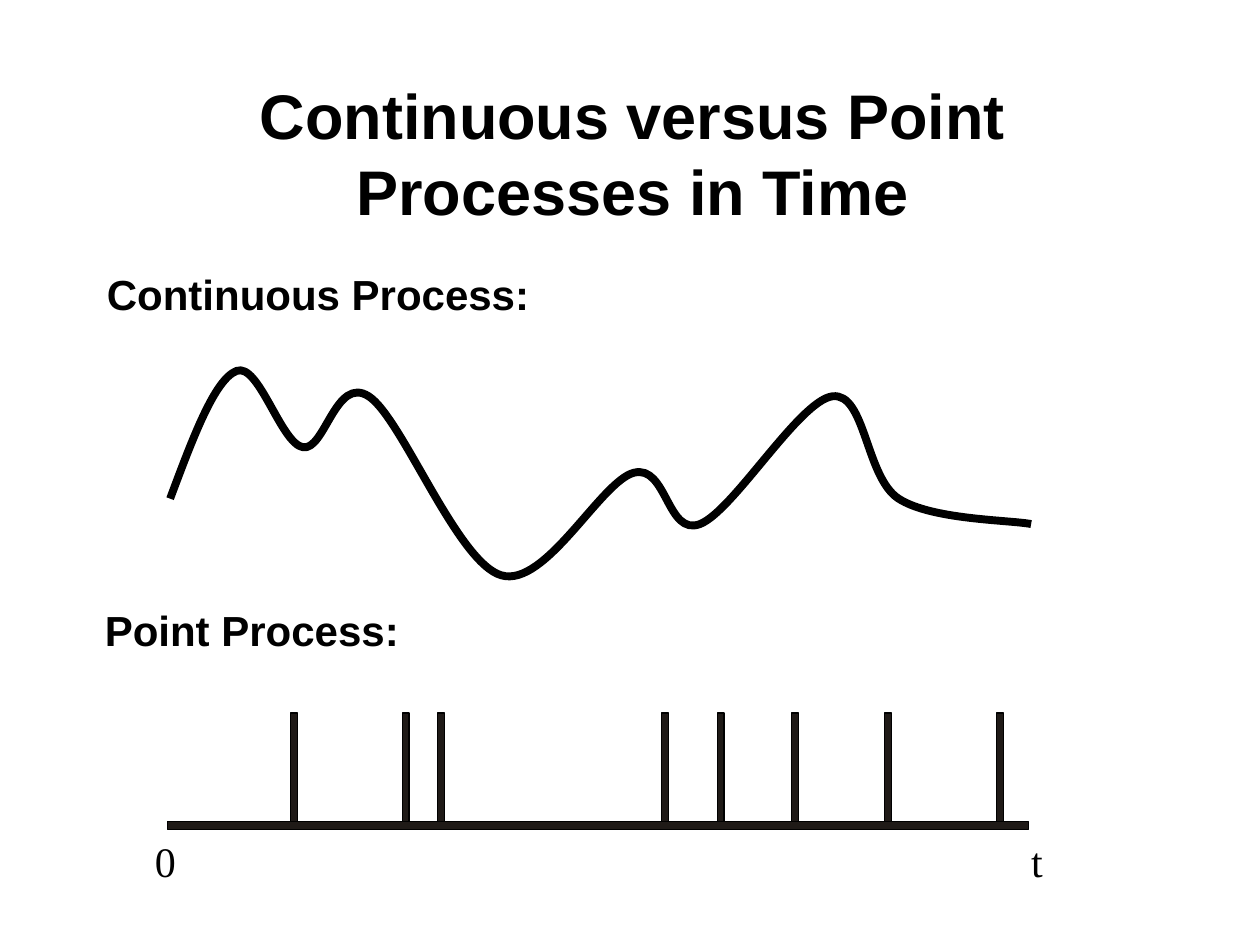
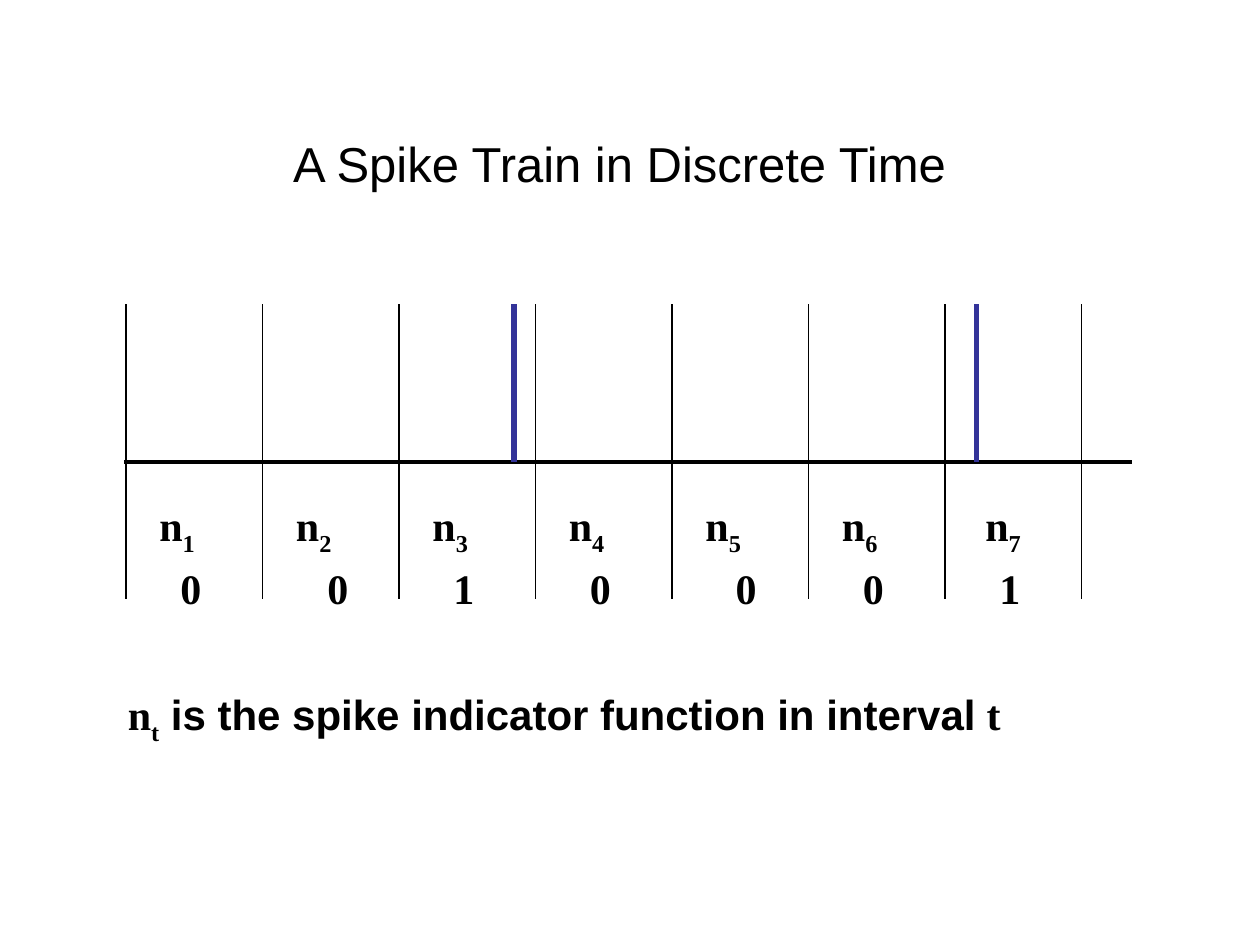
from typing import NamedTuple, Optional

from lxml.etree import SubElement
from pptx import Presentation
from pptx.dml.color import RGBColor
from pptx.enum.shapes import MSO_CONNECTOR as Connector, MSO_SHAPE as Preset
from pptx.enum.text import MSO_ANCHOR as Anchor, PP_ALIGN as Align
from pptx.oxml.ns import qn
from pptx.slide import Slide
from pptx.util import Pt

BLACK = RGBColor(0x00, 0x00, 0x00)
INK = RGBColor(0x1F, 0x1A, 0x17)
SPIKE_BLUE = RGBColor(0x33, 0x33, 0x99)
SANS, SERIF = "Arial", "Times New Roman"
BODY_SIZE = 24
SUBSCRIPT = "-25000"


class Box(NamedTuple):
    """Position and size in points."""
    left: float
    top: float
    width: float
    height: float


class Point(NamedTuple):
    """Place on the slide in points."""
    x: float
    y: float


class Words(NamedTuple):
    """Run of text with its look."""
    text: str
    font: str = SERIF
    bold: bool = True
    size: float = BODY_SIZE
    subscript: bool = False


class Stroke(NamedTuple):
    """Straight line with its look."""
    start: Point
    end: Point
    width: float
    color: RGBColor = BLACK


SIGNAL_LEAD_IN = Point(57.6, 419)
SIGNAL = [Point(97.2, 285), Point(135.2, 212), Point(173, 255.6), Point(210.7, 226.5),
          Point(286.5, 328.8), Point(362.2, 270.2), Point(400, 299.5),
          Point(475.7, 226.5), Point(513.5, 285), Point(589.2, 299.5)]
EVENT_LEFTS = [166.1, 229.8, 250.1, 378, 409.8, 452.2, 505.6, 569.5]
EVENT_WIDTH, EVENT_TOP, TIME_AXIS_TOP = 4, 407.5, 469.5

INTERVAL_LEFT, INTERVAL_WIDTH = 72, 78
SPIKE_TOP, DISCRETE_AXIS, INTERVAL_BOTTOM = 174, 264, 342
SPIKES = [293.8, 558]
COUNTS = [("0", 96), ("0", 180), ("1", 252), ("0", 330), ("0", 413.3), ("0", 486), ("1", 564)]
LAST_LABEL_SHIFT = 4


def add_text(slide: Slide, box: Box, *runs: Words, align: Align = Align.LEFT,
             anchor: Anchor = Anchor.TOP) -> None:
    """Add one paragraph of runs in a wrapped box."""
    frame = slide.shapes.add_textbox(*map(Pt, box)).text_frame
    frame.word_wrap = True
    frame.vertical_anchor = anchor
    paragraph = frame.paragraphs[0]
    paragraph.alignment = align
    for words in runs:
        run = paragraph.add_run()
        run.text = words.text
        run.font.name, run.font.size = words.font, Pt(words.size)
        run.font.bold = words.bold
        run.font.color.rgb = BLACK
        if words.subscript:
            run._r.get_or_add_rPr().set("baseline", SUBSCRIPT)


def add_title(slide: Slide, left: float, top: float, title: Words) -> None:
    """Add the centred slide title."""
    add_text(slide, Box(left, top, 612, 90), title, align=Align.CENTER, anchor=Anchor.MIDDLE)


def add_stroke(slide: Slide, stroke: Stroke) -> None:
    """Add a straight line without shadow."""
    line = slide.shapes.add_connector(Connector.STRAIGHT, *map(Pt, stroke.start + stroke.end))
    line.line.color.rgb = stroke.color
    line.line.width = Pt(stroke.width)
    SubElement(line._element.spPr, qn("a:effectLst"))


def add_bar(slide: Slide, box: Box) -> None:
    """Add a dark bar with a hairline edge."""
    bar = slide.shapes.add_shape(Preset.RECTANGLE, *map(Pt, box))
    bar.shadow.inherit = False
    bar.fill.solid()
    bar.fill.fore_color.rgb = INK
    bar.line.color.rgb = BLACK
    bar.line.width = Pt(0)


def spline(knots: list[Point], lead_in: Optional[Point] = None) -> list[Point]:
    """Return the Catmull-Rom Bezier points that follow the first knot."""
    padded = [lead_in or knots[0], *knots, knots[-1]]
    points = []
    for before, start, end, after in zip(padded, padded[1:], padded[2:], padded[3:]):
        points += [Point(start.x + (end.x - before.x) / 6, start.y + (end.y - before.y) / 6),
                   Point(end.x - (after.x - start.x) / 6, end.y - (after.y - start.y) / 6),
                   end]
    return points


def add_curve(slide: Slide, knots: list[Point], lead_in: Point, width: float) -> None:
    """Add a smooth open curve through the knots."""
    builder = slide.shapes.build_freeform(*map(Pt, knots[0]))
    points = [(Pt(point.x), Pt(point.y)) for point in spline(knots, lead_in)]
    builder.add_line_segments(points, close=False)
    curve = builder.convert_to_shape()
    curve.shadow.inherit = False
    curve.fill.background()
    curve.line.color.rgb = BLACK
    curve.line.width = Pt(width)
    outline = curve._element.spPr.find(".//" + qn("a:path"))
    segments = outline.findall(qn("a:lnTo"))
    for first in range(0, len(segments), 3):
        bezier = SubElement(outline, qn("a:cubicBezTo"))
        for segment in segments[first:first + 3]:
            bezier.append(segment[0])
            outline.remove(segment)


def build_processes(slide: Slide) -> None:
    """Compare a continuous signal with point events."""
    add_title(slide, 55.5, 42, Words("Continuous versus Point Processes in Time", SANS, size=36))
    add_bar(slide, Box(95.6, TIME_AXIS_TOP, 492, 4.5))
    for left in EVENT_LEFTS:
        add_bar(slide, Box(left, EVENT_TOP, EVENT_WIDTH, TIME_AXIS_TOP - EVENT_TOP))
    add_curve(slide, SIGNAL, SIGNAL_LEAD_IN, 4.5)
    add_text(slide, Box(54, 150, 300, 36), Words("Continuous Process:", SANS))
    add_text(slide, Box(52.8, 342, 300, 36), Words("Point Process:", SANS))
    for mark, left in (("0", 81.4), ("t", 582.2)):
        add_text(slide, Box(left, 474, 30, 36), Words(mark, bold=False))


def build_spike_train(slide: Slide) -> None:
    """Show spikes counted in equal intervals."""
    add_title(slide, 48, 48, Words("A Spike Train in Discrete Time", SANS, False, 28))
    add_stroke(slide, Stroke(Point(70.8, DISCRETE_AXIS), Point(646.8, DISCRETE_AXIS), 2))
    for x in SPIKES:
        add_stroke(slide, Stroke(Point(x, SPIKE_TOP), Point(x, DISCRETE_AXIS), 3, SPIKE_BLUE))
    for index in range(len(COUNTS) + 1):
        x = INTERVAL_LEFT + index * INTERVAL_WIDTH
        add_stroke(slide, Stroke(Point(x, INTERVAL_BOTTOM), Point(x, SPIKE_TOP), 0.75))
    for number, (count, count_left) in enumerate(COUNTS, start=1):
        label_left = INTERVAL_LEFT + 12 + (number - 1) * INTERVAL_WIDTH
        if number == len(COUNTS):
            label_left += LAST_LABEL_SHIFT
        add_text(slide, Box(label_left, 282, 54, 40), Words("n"), Words(str(number), subscript=True))
        add_text(slide, Box(count_left, 318, 30, 36), Words(count))
    add_text(slide, Box(66, 390, 612, 84), Words("n"), Words("t", subscript=True),
             Words(" is the spike indicator function in interval", SANS), Words(" t"))


def main() -> None:
    """Build and save the presentation."""
    deck = Presentation()
    deck.slide_width, deck.slide_height = Pt(720), Pt(540)
    blank = deck.slide_layouts[6]
    for build in (build_processes, build_spike_train):
        build(deck.slides.add_slide(blank))
    deck.save("out.pptx")


if __name__ == "__main__":
    main()
